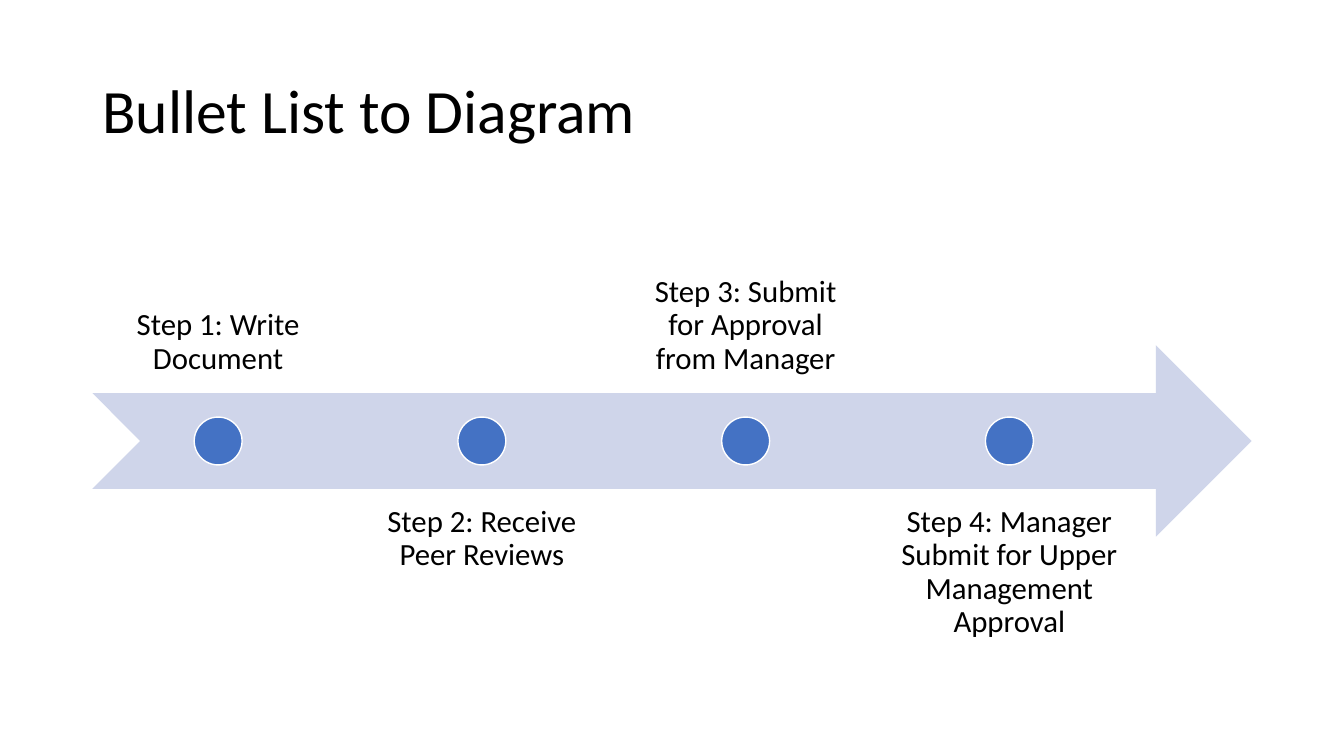
from dataclasses import dataclass

import pptx
import pptx.dml.color
import pptx.enum.shapes
import pptx.enum.text
import pptx.util

Pt = pptx.util.Pt
Shape = pptx.enum.shapes.MSO_SHAPE
Anchor = pptx.enum.text.MSO_ANCHOR
Align = pptx.enum.text.PP_ALIGN

COLORS = {"text": "000000", "arrow": "CFD5EA", "marker": "4472C4", "outline": "FFFFFF"}
FONT = "Calibri"

# Timeline geometry, in points
LEFT, WIDTH = 66, 828
MIDDLE = 315
BAND = 136.8  # height of the arrow and of each label
LABEL_WIDTH, STEP_PITCH = 179.6, 188.4
LABEL_OFFSET = 34.2  # from the middle line to the near edge of a label
LABEL_INSET = 12.32
MARKER = 34.2


@dataclass
class Step:
    text: str
    above: bool


STEPS = [
    Step("Step 1: Write Document", True),
    Step("Step 2: Receive Peer Reviews", False),
    Step("Step 3: Submit for Approval from Manager", True),
    Step("Step 4: Manager Submit for Upper Management Approval", False),
]


def color(name: str) -> pptx.dml.color.RGBColor:
    return pptx.dml.color.RGBColor.from_string(COLORS[name])


def write(frame, text: str, size: float, align, anchor) -> None:
    frame.text = text
    frame.word_wrap = True
    frame.auto_size = pptx.enum.text.MSO_AUTO_SIZE.NONE
    frame.vertical_anchor = anchor
    paragraph = frame.paragraphs[0]
    paragraph.alignment = align
    paragraph.line_spacing = 0.9
    paragraph.font.name = FONT
    paragraph.font.size = Pt(size)
    paragraph.font.color.rgb = color("text")


def draw_filled(shapes, kind, left: float, top: float, width: float,
                height: float, fill: str):
    part = shapes.add_shape(kind, Pt(left), Pt(top), Pt(width), Pt(height))
    part.shadow.inherit = False
    part.fill.solid()
    part.fill.fore_color.rgb = color(fill)
    part.line.fill.background()
    return part


def draw_step(shapes, step: Step, left: float) -> None:
    # Label, alternating above and below the arrow
    top = MIDDLE - LABEL_OFFSET - BAND if step.above else MIDDLE + LABEL_OFFSET
    label = shapes.add_textbox(Pt(left), Pt(top), Pt(LABEL_WIDTH), Pt(BAND))
    frame = label.text_frame
    frame.margin_left = frame.margin_right = Pt(LABEL_INSET)
    frame.margin_top = frame.margin_bottom = Pt(LABEL_INSET)
    write(frame, step.text, 22, Align.CENTER, Anchor.BOTTOM if step.above else Anchor.TOP)

    # Marker, centred on the label
    marker = draw_filled(shapes, Shape.OVAL, left + (LABEL_WIDTH - MARKER) / 2,
                         MIDDLE - MARKER / 2, MARKER, MARKER, "marker")
    marker.line.color.rgb = color("outline")
    marker.line.width = Pt(1)


def main() -> None:
    deck = pptx.Presentation()
    deck.slide_width, deck.slide_height = Pt(960), Pt(540)
    slide = deck.slides.add_slide(deck.slide_layouts.get_by_name("Title Only"))

    # Title
    title = slide.shapes.title
    title.left, title.top, title.width, title.height = Pt(LEFT), Pt(28.75), Pt(WIDTH), Pt(104.4)
    write(title.text_frame, "Bullet List to Diagram", 44, Align.LEFT, Anchor.MIDDLE)

    # Process arrow with its steps
    process = slide.shapes.add_group_shape().shapes
    draw_filled(process, Shape.NOTCHED_RIGHT_ARROW, LEFT, MIDDLE - BAND / 2,
                WIDTH, BAND, "arrow")
    for index, step in enumerate(STEPS):
        draw_step(process, step, LEFT + index * STEP_PITCH)

    deck.save("out.pptx")


if __name__ == "__main__":
    main()
